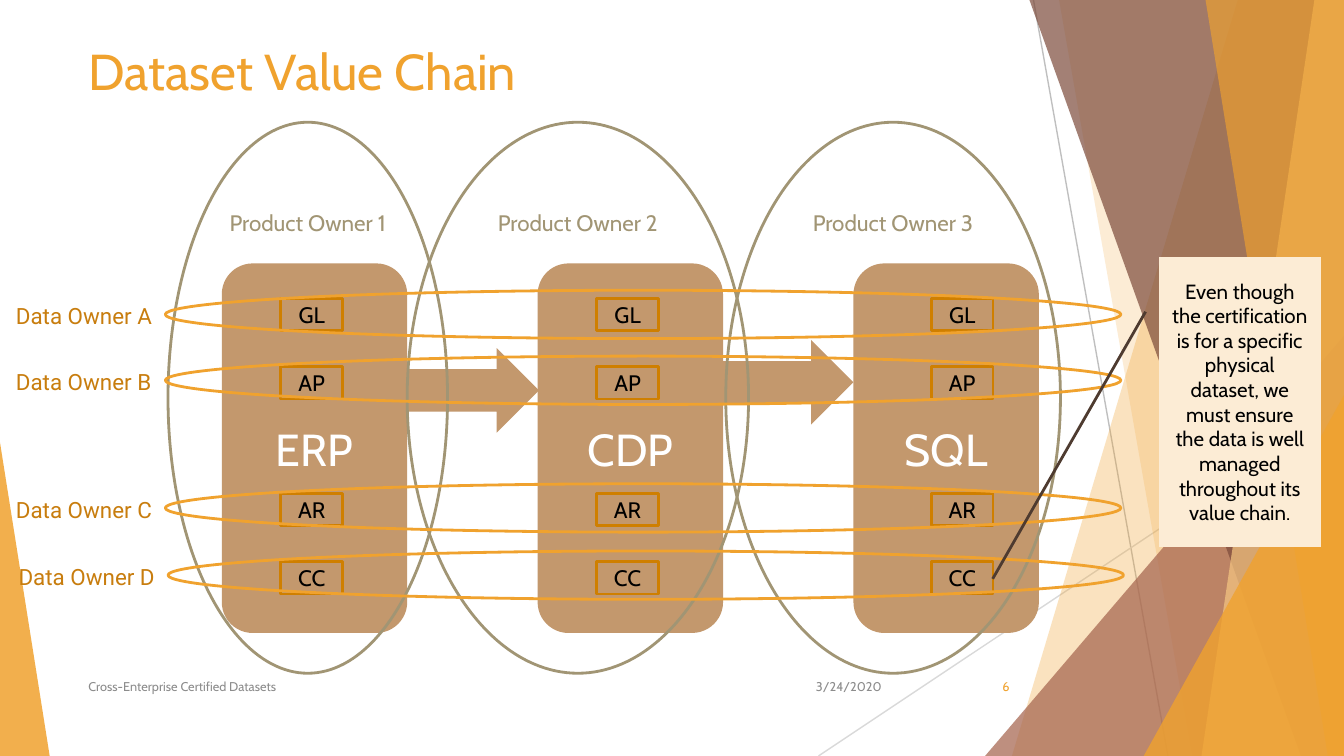
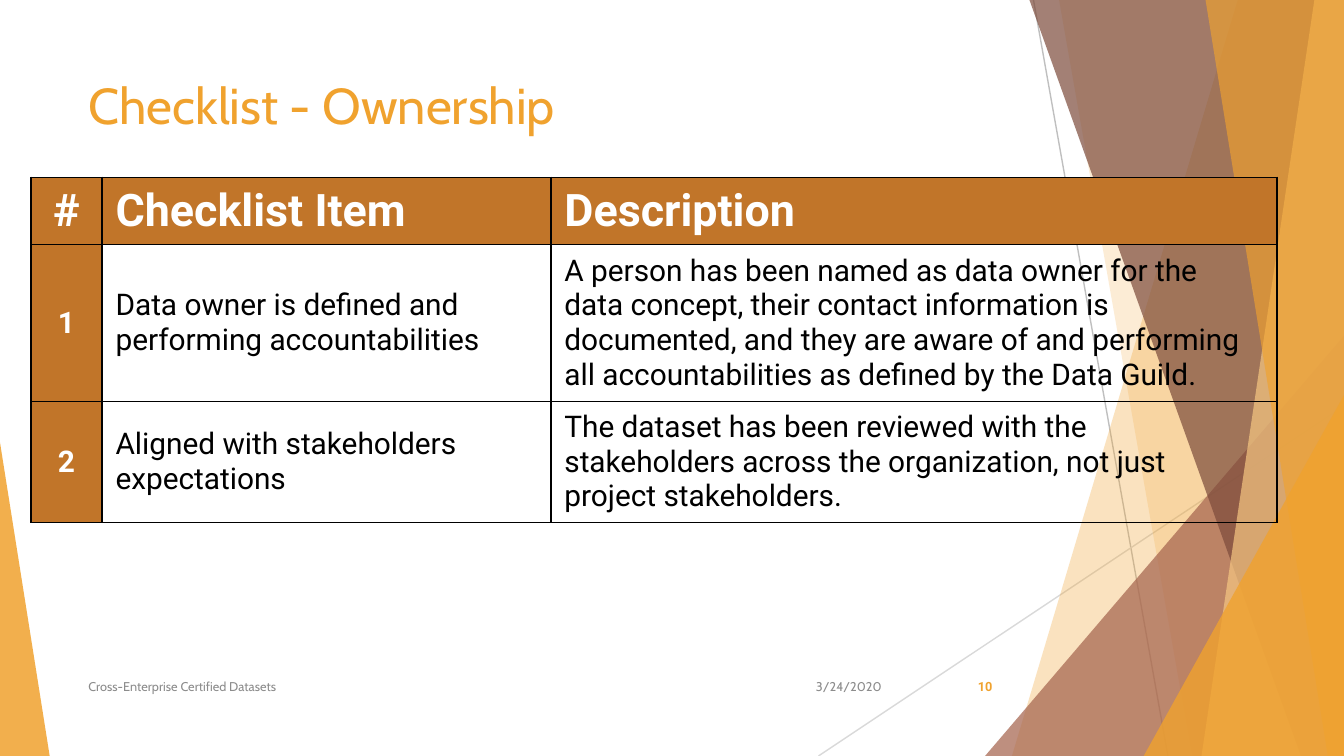
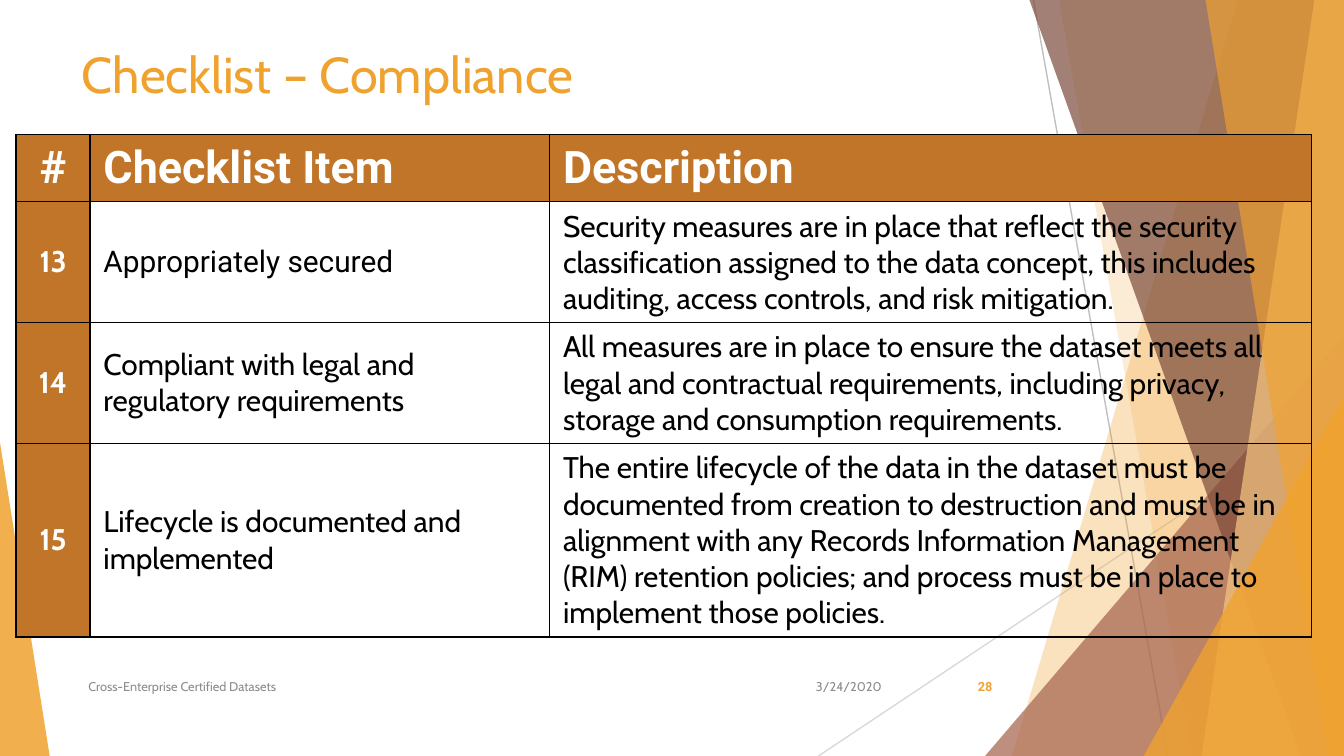
import pptx
import pptx.util
import pptx.dml.color
import pptx.enum.shapes
import pptx.enum.text
import pptx.oxml
import pptx.oxml.ns

SHAPE = pptx.enum.shapes.MSO_SHAPE
ALIGN = pptx.enum.text.PP_ALIGN
ANCHOR = pptx.enum.text.MSO_ANCHOR
NS = pptx.oxml.ns.nsdecls("a")
RGB = pptx.dml.color.RGBColor.from_string

COLORS = {
    "gold": "F0A22E", "pale gold": "F6C782", "cream": "FCECD5",
    "rust": "A5644E", "brown": "7C4B3B", "dark brown": "4E3B30",
    "tan": "C3986D", "olive": "A19574", "amber": "CF7F00",
    "ochre": "C87D0E", "copper": "C17529", "grey": "8C8C8C",
    "mid grey": "BFBFBF", "light grey": "D9D9D9",
    "black": "000000", "white": "FFFFFF",
}

# The grid has 100 square cells across the slide and 56.25 down.
COLS, ROWS = 100, 56.25
prs = pptx.Presentation()
prs.slide_width = pptx.util.Inches(10)
prs.slide_height = pptx.util.Inches(5.625)
CELL = prs.slide_width // COLS


def grid(*cells):
    return [pptx.util.Emu(round(c * CELL)) for c in cells]


def put(s, kind, box, text="", size=12, color="black", font="Cabin", bold=False,
        align=ALIGN.CENTER, anchor=ANCHOR.MIDDLE, fill=None, line=None):
    """Add a preset shape, or a text box when kind is None, at a grid box."""
    if kind is None:
        sp = s.shapes.add_textbox(*grid(*box))
    else:
        sp = s.shapes.add_shape(kind, *grid(*box))
        sp.shadow.inherit = False
        sp.fill.background()
        sp.line.fill.background()
    if fill:
        sp.fill.solid()
        sp.fill.fore_color.rgb = RGB(COLORS[fill])
    if line:
        sp.line.color.rgb = RGB(COLORS[line])
        sp.line.width = pptx.util.Pt(1.5)
    if text:
        tf = sp.text_frame
        tf.word_wrap = True
        tf.vertical_anchor = anchor
        p = tf.paragraphs[0]
        p.text = text
        p.alignment = align
        p.font.name = font
        p.font.size = pptx.util.Pt(size)
        p.font.bold = bold
        p.font.color.rgb = RGB(COLORS[color])
    return sp


# What every slide shares: facets, title and footer
lines = [("mid grey", (76.9, 0, 86.9, ROWS)), ("light grey", (COLS, 30.2, 60.9, ROWS))]
# Bands reach the right edge: (colour, opacity, top x, bottom x).
# Triangles: (colour, opacity, apex position, left, top, width).
facets = [
    ("gold", 30, 92.1, 75.3),
    ("gold", 20, 78.8, 88.7),
    ("rust", 72, 1, 73.3, 25, 26.7),
    ("brown", 70, 76.6, 96.8),
    ("pale gold", 70, 97.8, 89.4),
    ("gold", 65, 89.7, 98.8),
    ("gold", 80, 1, 85.1, 29.4, 14.9),
    ("gold", 85, 0, 0, 32.9, 3.7),
]
pages = [
    ("Dataset Value Chain", (5.6, 2.5), "6"),
    ("Checklist - Ownership", (5.6, 5), "10"),
    ("Checklist – Compliance", (5.1, 2.7), "28"),
]
slides = []
for title, corner, number in pages:
    s = prs.slides.add_slide(prs.slide_layouts[6])
    slides.append(s)
    backdrop = s.shapes.add_group_shape()
    for color, ends in lines:
        cn = backdrop.shapes.add_connector(
            pptx.enum.shapes.MSO_CONNECTOR.STRAIGHT, *grid(*ends))
        cn.line.color.rgb = RGB(COLORS[color])
        cn.line.width = pptx.util.Pt(0.75)
        cn._element.spPr.append(pptx.oxml.parse_xml(f"<a:effectLst {NS}/>"))
    for color, opacity, *place in facets:
        if len(place) == 2:
            top, bottom = place
            fb = backdrop.shapes.build_freeform(*grid(top, 0), scale=1.0)
            fb.add_line_segments(
                [grid(COLS, 0), grid(COLS, ROWS), grid(bottom, ROWS)], close=True)
            sp = fb.convert_to_shape()
        else:
            apex, left, top, width = place
            sp = backdrop.shapes.add_shape(
                SHAPE.ISOSCELES_TRIANGLE, *grid(left, top, width, ROWS - top))
            sp.adjustments[0] = apex
        sp.shadow.inherit = False
        sp.line.fill.background()
        sp.fill.solid()
        sp.fill.fore_color.rgb = RGB(COLORS[color])
        srgb = sp._element.spPr.find(".//" + pptx.oxml.ns.qn("a:srgbClr"))
        srgb.append(pptx.oxml.parse_xml(f'<a:alpha {NS} val="{opacity * 1000}"/>'))

    put(s, None, (*corner, 70.5, 10.8), title, 27, "gold",
        align=ALIGN.LEFT, anchor=ANCHOR.TOP)
    put(s, None, (5.6, 49.6, 51.7, 3), "Cross-Enterprise Certified Datasets", 6.8, "grey",
        align=ALIGN.LEFT)
    put(s, None, (59.1, 49.6, 7.5, 3), "3/24/2020", 6.8, "grey", align=ALIGN.RIGHT)
    if s is slides[0]:
        style = {"align": ALIGN.RIGHT}
    else:
        style = {"font": "Roboto", "bold": True}
    put(s, None, (70.5, 49.6, 5.6, 3), number, 6.8, "gold", **style)

# Slide 1: systems crossed by data owners
s = slides[0]
for i, system in enumerate(["ERP", "CDP", "SQL"]):
    put(s, SHAPE.ROUNDED_RECTANGLE, (16.5 + 23.5 * i, 19.6, 13.8, 27.5), system,
        24, "white", fill="tan")
for left, top in [(30.3, 25.9), (53.7, 25.3)]:
    put(s, SHAPE.RIGHT_ARROW, (left, top, 9.8, 6.3), fill="tan")
for i, (left, width) in enumerate([(12.5, 20.8), (30.3, 25.4), (54, 24.9)], 1):
    put(s, SHAPE.OVAL, (left, 9.1, width, 41), f"Product Owner {i}", 12, "olive",
        anchor=ANCHOR.TOP, line="olive")

datasets = [("GL", 22.2), ("AP", 27.3), ("AR", 36.7), ("CC", 41.8)]
for left in (20.9, 44.4, 69.3):
    for dataset, top in datasets:
        put(s, SHAPE.RECTANGLE, (left, top, 4.6, 2.4), dataset, line="amber")

owners = [("A", 0, 21.6), ("B", 0, 26.5), ("C", 0, 36), ("D", 0.2, 41)]
for owner, shift, top in owners:
    put(s, SHAPE.OVAL, (12.3 + shift, top, 71.1, 3.6), line="gold")
    put(s, None, (0.2 + shift, top + 0.4, 14, 3), f"Data Owner {owner}", 12, "ochre",
        "Roboto", align=ALIGN.LEFT, anchor=ANCHOR.TOP)

callout = put(
    s, SHAPE.LINE_CALLOUT_1_NO_BORDER, (86.2, 19.1, 12.1, 21.6),
    "Even though the certification is for a specific physical dataset, we must ensure "
    "the data is well managed throughout its value chain.",
    11, fill="cream", line="dark brown")
for i, share in enumerate([0.19, -0.08, 1.11, -1.02]):
    callout.adjustments[i] = share

# Slides 2 and 3: checklists
# Each: slide, corner, column widths, row heights, body font, rows
checklists = [
    (slides[1], (2.3, 13.2), (5.3, 33.4, 54), (4.9, 11.3, 8.8), "Roboto", [
        ("1", "Data owner is defined and performing accountabilities",
         "A person has been named as data owner for the data concept, their contact "
         "information is documented, and they are aware of and performing all "
         "accountabilities as defined by the Data Guild."),
        ("2", "Aligned with stakeholders expectations",
         "The dataset has been reviewed with the stakeholders across the organization, "
         "not just project stakeholders."),
    ]),
    (slides[2], (1.2, 10), (5.5, 34.2, 56.7), (4.9, 9, 9, 14.4), "Cabin", [
        ("13", "Appropriately secured",
         "Security measures are in place that reflect the security classification "
         "assigned to the data concept, this includes auditing, access controls, and "
         "risk mitigation."),
        ("14", "Compliant with legal and regulatory requirements",
         "All measures are in place to ensure the dataset meets all legal and "
         "contractual requirements, including privacy, storage and consumption "
         "requirements."),
        ("15", "Lifecycle is documented and implemented",
         "The entire lifecycle of the data in the dataset must be documented from "
         "creation to destruction and must be in alignment with any Records Information "
         "Management (RIM) retention policies; and process must be in place to implement "
         "those policies."),
    ]),
]
header = ("#", "Checklist Item", "Description")
for s, corner, widths, heights, body_font, items in checklists:
    table = s.shapes.add_table(
        len(heights), len(widths), *grid(*corner, sum(widths), sum(heights))).table
    table.first_row = table.horz_banding = False
    for column, width in zip(table.columns, grid(*widths)):
        column.width = width
    for row, height in zip(table.rows, grid(*heights)):
        row.height = height
    for i, texts in enumerate([header, *items]):
        for j, text in enumerate(texts):
            cell = table.cell(i, j)
            strong = i == 0 or j == 0
            tcPr = cell._tc.get_or_add_tcPr()
            for side in "LRTB":
                tcPr.append(pptx.oxml.parse_xml(
                    f'<a:ln{side} {NS} w="12700"><a:solidFill>'
                    f'<a:srgbClr val="{COLORS["black"]}"/></a:solidFill></a:ln{side}>'))
            if strong:
                cell.fill.solid()
                cell.fill.fore_color.rgb = RGB(COLORS["copper"])
            else:
                cell.fill.background()
            cell.vertical_anchor = ANCHOR.MIDDLE
            p = cell.text_frame.paragraphs[0]
            p.text = text
            p.alignment = ALIGN.CENTER if j == 0 else ALIGN.LEFT
            roboto = i == 0 or text == "Appropriately secured"
            p.font.name = "Roboto" if roboto else body_font
            p.font.size = pptx.util.Pt(24 if i == 0 else 16)
            p.font.bold = strong
            p.font.color.rgb = RGB(COLORS["white" if strong else "black"])

prs.save("out.pptx")
